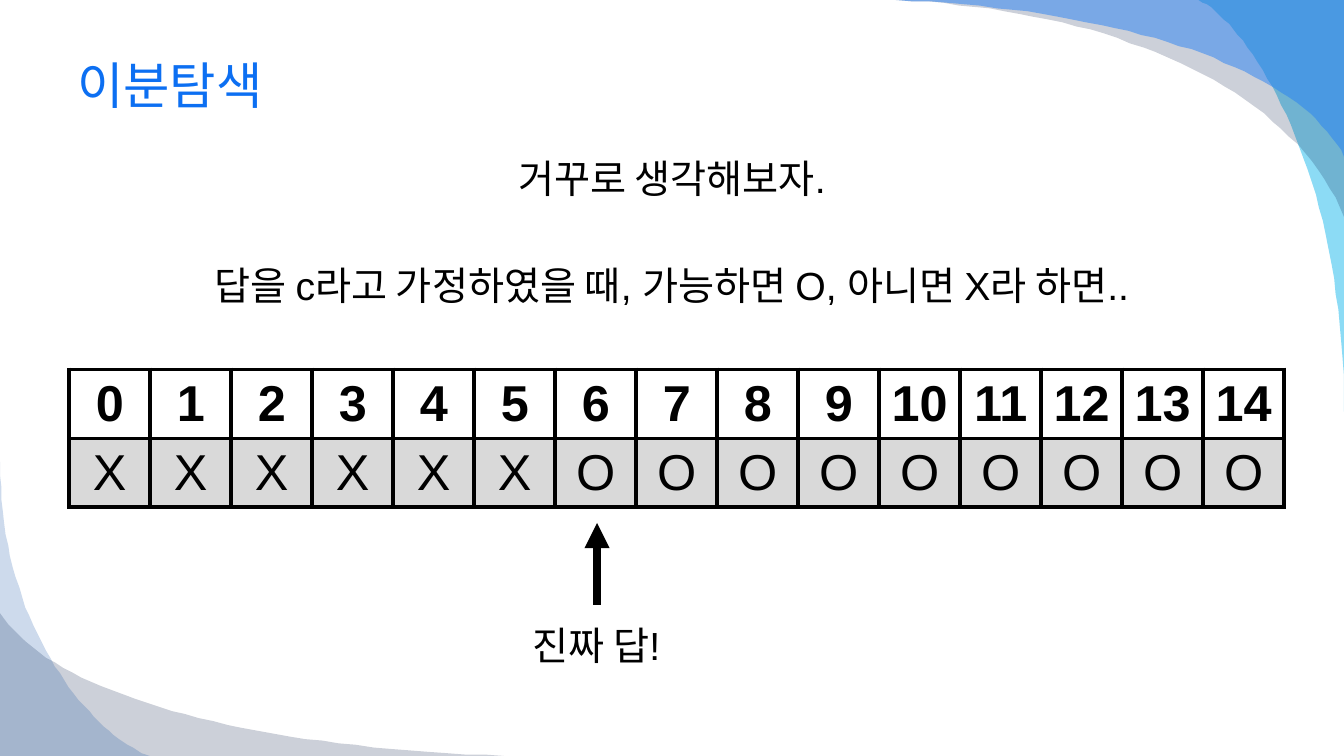
from typing import NamedTuple

from lxml import etree
from pptx import Presentation
from pptx.dml import color
from pptx.enum import shapes, text
from pptx.oxml import ns, xmlchemy
from pptx.util import Pt

Point = tuple[float, float]
FONT = "Arial"
BLACK = "000000"
TOP_RIGHT: Point = (960, 0)
BOTTOM_LEFT: Point = (0, 540)


class Swoosh(NamedTuple):
    corner: Point
    start: Point
    first_control: Point
    second_control: Point
    end: Point
    fill: str
    opacity: int


class Label(NamedTuple):
    lines: list[str]
    left: float
    top: float
    width: float
    height: float
    size: float = 28
    ink: str = BLACK
    alignment: text.PP_ALIGN = text.PP_ALIGN.CENTER
    anchor: text.MSO_ANCHOR = text.MSO_ANCHOR.TOP
    gap: float = 0


class Row(NamedTuple):
    values: list[str]
    fill: str
    bold: bool


SWOOSHES = [
    Swoosh(TOP_RIGHT, (856, 0), (893, 18), (960, 122), (960, 294), "00B1E9", 45),
    Swoosh(TOP_RIGHT, (640, 0), (792, 7), (922, 61), (960, 155), "021741", 20),
    Swoosh(TOP_RIGHT, (640, 0), (806, 7), (929, 50), (960, 112), "247FF4", 49),
    Swoosh(BOTTOM_LEFT, (360, 540), (173, 534), (35, 494), (0, 438), "021741", 20),
    Swoosh(BOTTOM_LEFT, (107, 540), (69, 527), (0, 452), (0, 330), "084AA1", 20),
]
LABELS = [
    Label(["이분탐색"], 48, 24, 864, 73, 36, "0C6FF2",
          text.PP_ALIGN.LEFT, text.MSO_ANCHOR.MIDDLE),
    Label(["거꾸로 생각해보자.", "답을 c라고 가정하였을 때, 가능하면 O, 아니면 X라 하면.."],
          48, 106.5, 864, 131, gap=43),
    Label(["진짜 답!"], 352, 440.5, 148, 49),
]
ROWS = [
    Row([str(number) for number in range(15)], "FFFFFF", True),
    Row(["X"] * 6 + ["O"] * 9, "D9D9D9", False),
]


def rgb(value: str) -> color.RGBColor:
    return color.RGBColor.from_string(value)


def add_child(parent, tag: str, **attributes: str):
    return etree.SubElement(parent, ns.qn(tag), attributes)


def curve_points(swoosh: Swoosh, steps: int = 40) -> list[Point]:
    controls = swoosh[1:5]
    points = []
    for step in range(steps + 1):
        t = step / steps
        weights = ((1 - t) ** 3, 3 * t * (1 - t) ** 2, 3 * t * t * (1 - t), t ** 3)
        x, y = (sum(w * p[axis] for w, p in zip(weights, controls)) for axis in (0, 1))
        points.append((x, y))
    return points


def draw_swoosh(slide, swoosh: Swoosh) -> None:
    builder = slide.shapes.build_freeform(*swoosh.corner, scale=Pt(1))
    builder.add_line_segments(curve_points(swoosh), close=True)
    shape = builder.convert_to_shape()
    shape.shadow.inherit = False
    shape.line.fill.background()
    shape.fill.solid()
    shape.fill.fore_color.rgb = rgb(swoosh.fill)
    fill = shape._element.spPr.find(ns.qn("a:solidFill"))
    add_child(fill[0], "a:alpha", val=str(swoosh.opacity * 1000))


def style_paragraph(paragraph, size: float, ink: str, alignment, bold: bool = False) -> None:
    paragraph.alignment = alignment
    paragraph.font.name = FONT
    paragraph.font.size = Pt(size)
    paragraph.font.bold = bold
    paragraph.font.color.rgb = rgb(ink)


def draw_label(slide, label: Label) -> None:
    box = slide.shapes.add_textbox(
        Pt(label.left), Pt(label.top), Pt(label.width), Pt(label.height))
    frame = box.text_frame
    frame.word_wrap = True
    frame.vertical_anchor = label.anchor
    frame.text = "\n".join(label.lines)
    for index, paragraph in enumerate(frame.paragraphs):
        style_paragraph(paragraph, label.size, label.ink, label.alignment)
        if index:
            paragraph.space_before = Pt(label.gap)


def add_borders(cell) -> None:
    properties = cell._tc.get_or_add_tcPr()
    for index, side in enumerate(("a:lnL", "a:lnR", "a:lnT", "a:lnB")):
        border = xmlchemy.OxmlElement(side)
        border.set("w", str(Pt(3)))
        fill = add_child(border, "a:solidFill")
        add_child(fill, "a:srgbClr", val=BLACK)
        properties.insert(index, border)


def draw_table(slide, rows: list[Row]) -> None:
    count = len(rows[0].values)
    frame = slide.shapes.add_table(
        len(rows), count, Pt(49.5), Pt(264), Pt(57.87 * count), Pt(47.5 * len(rows)))
    for row_index, row in enumerate(rows):
        for column_index, value in enumerate(row.values):
            cell = frame.table.cell(row_index, column_index)
            cell.text = value
            cell.vertical_anchor = text.MSO_ANCHOR.MIDDLE
            cell.margin_top = cell.margin_bottom = Pt(3)
            cell.fill.solid()
            cell.fill.fore_color.rgb = rgb(row.fill)
            style_paragraph(cell.text_frame.paragraphs[0], 36, BLACK,
                            text.PP_ALIGN.CENTER, row.bold)
            add_borders(cell)


def draw_arrow(slide) -> None:
    arrow = slide.shapes.add_connector(
        shapes.MSO_CONNECTOR.STRAIGHT, Pt(426.5), Pt(432), Pt(426.5), Pt(373.5))
    arrow.line.width = Pt(6)
    arrow.line.color.rgb = rgb(BLACK)
    add_child(arrow.line._get_or_add_ln(), "a:tailEnd", type="triangle")
    add_child(arrow._element.spPr, "a:effectLst")


def main() -> None:
    presentation = Presentation()
    presentation.slide_width, presentation.slide_height = Pt(960), Pt(540)
    slide = presentation.slides.add_slide(presentation.slide_layouts[6])
    for swoosh in SWOOSHES:
        draw_swoosh(slide, swoosh)
    for label in LABELS:
        draw_label(slide, label)
    draw_table(slide, ROWS)
    draw_arrow(slide)
    presentation.save("out.pptx")


if __name__ == "__main__":
    main()
